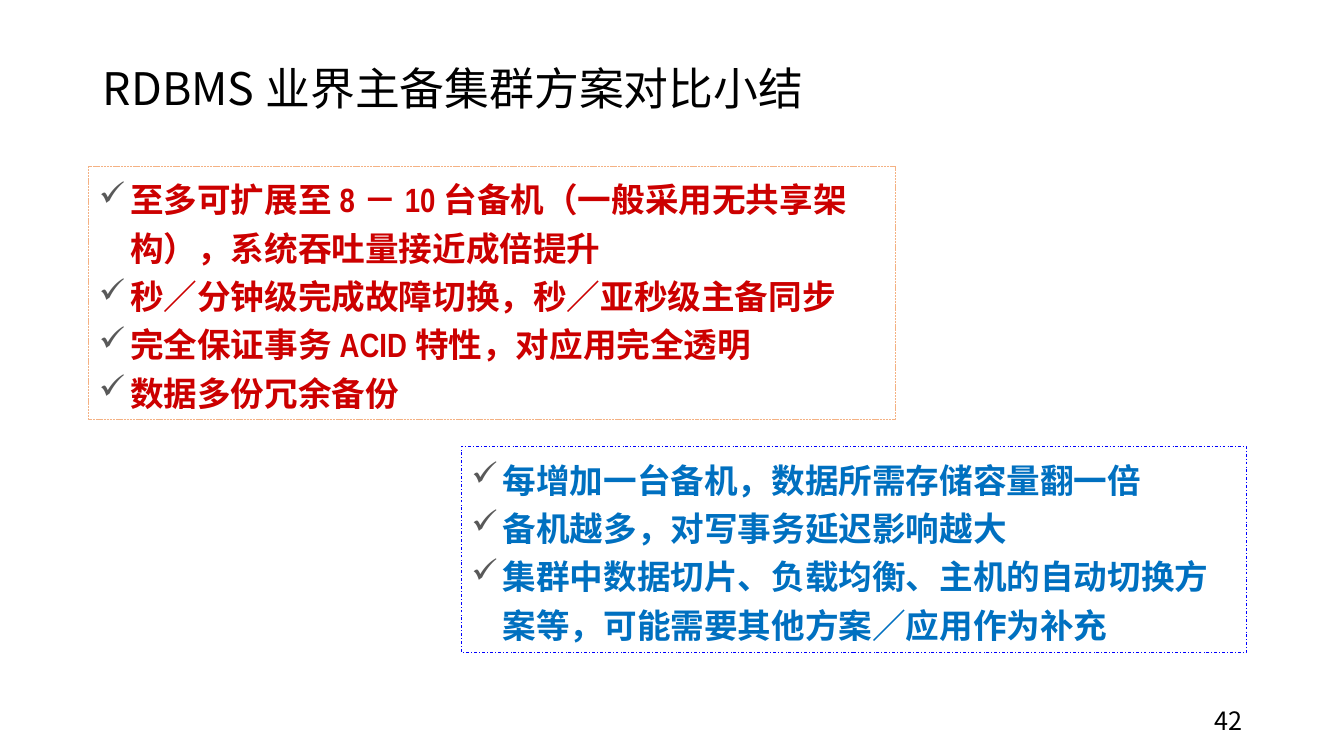
import pptx
import pptx.util
import pptx.dml.color
import pptx.enum.dml
import pptx.enum.shapes
import pptx.enum.text
import pptx.oxml.ns
from dataclasses import dataclass
from lxml import etree

Cm, Pt = pptx.util.Cm, pptx.util.Pt
RGB = pptx.dml.color.RGBColor.from_string
Dash = pptx.enum.dml.MSO_LINE
Align = pptx.enum.text.PP_ALIGN
Fit = pptx.enum.text.MSO_AUTO_SIZE
Mid = pptx.enum.text.MSO_ANCHOR.MIDDLE
Top = pptx.enum.text.MSO_ANCHOR.TOP
qn = pptx.oxml.ns.qn


@dataclass(frozen=True)
class Theme:
    black: str = "000000"
    tick: str = "595959"
    red: str = "CC0000"
    blue: str = "0070C0"
    peach: str = "F4B183"
    navy: str = "0000FF"
    sans: str = "Noto Sans CJK SC"
    narrow: str = "Arial Narrow"
    title: int = 32
    body: int = 24
    page: int = 18


THEME = Theme()

GAINS = [
    "至多可扩展至8－10台备机（一般采用无共享架构），系统吞吐量接近成倍提升",
    "秒／分钟级完成故障切换，秒／亚秒级主备同步",
    "完全保证事务ACID特性，对应用完全透明",
    "数据多份冗余备份",
]
COSTS = [
    "每增加一台备机，数据所需存储容量翻一倍",
    "备机越多，对写事务延迟影响越大",
    "集群中数据切片、负载均衡、主机的自动切换方案等，可能需要其他方案／应用作为补充",
]


def apply(item, form):
    for key, value in form.items():
        setattr(item, key, value)


def write(para, text, face, size, color, bold=False):
    """Put one run in a paragraph, with the same face for Latin and Chinese."""
    run = para.add_run()
    run.text = text
    apply(run.font, {"name": face, "size": Pt(size), "bold": bold})
    run.font.color.rgb = RGB(color)
    etree.SubElement(run.font._element, qn("a:ea"), typeface=face)


def label(slide, area, text, size, form):
    """Add a text box that holds one line."""
    box = slide.shapes.add_textbox(*map(Cm, area))
    apply(box.text_frame, {"word_wrap": True, "vertical_anchor": Mid})
    para = box.text_frame.paragraphs[0]
    apply(para, form)
    write(para, text, THEME.sans, size, THEME.black)


def check(para):
    """Give a paragraph a hanging check mark."""
    props = para._p.get_or_add_pPr()
    hang = Cm(0.79)
    props.set("marL", str(hang))
    props.set("indent", str(-hang))
    tint = etree.SubElement(props, qn("a:buClr"))
    etree.SubElement(tint, qn("a:srgbClr"), val=THEME.tick)
    etree.SubElement(props, qn("a:buChar"), char="✓")


def panel(slide, area, points, color, edge, dash):
    """Add a dashed frame with a checked list."""
    kind = pptx.enum.shapes.MSO_SHAPE.RECTANGLE
    box = slide.shapes.add_shape(kind, *map(Cm, area))
    box.shadow.inherit = False
    box.fill.background()
    box.line.color.rgb = RGB(edge)
    apply(box.line, {"width": Pt(0.5), "dash_style": dash})
    frame = box.text_frame
    apply(frame, {"word_wrap": True, "vertical_anchor": Top,
                  "auto_size": Fit.SHAPE_TO_FIT_TEXT})
    for n, point in enumerate(points):
        para = frame.add_paragraph() if n else frame.paragraphs[0]
        apply(para, {"level": 1, "alignment": Align.LEFT, "line_spacing": 1.2})
        check(para)
        write(para, point, THEME.narrow, THEME.body, color, True)


def main():
    deck = pptx.Presentation()
    apply(deck, {"slide_width": Cm(33.87), "slide_height": Cm(19.05)})
    slide = deck.slides.add_slide(deck.slide_layouts[6])

    # Title and page number
    label(slide, (2.34, 1.02, 29.21, 2.57), "RDBMS业界主备集群方案对比小结",
          THEME.title, {"line_spacing": 0.9})
    label(slide, (23.93, 17.65, 7.62, 1.02), "42",
          THEME.page, {"alignment": Align.RIGHT})

    # Strengths, then limits
    panel(slide, (2.24, 4.19, 20.32, 6.38), GAINS,
          THEME.red, THEME.peach, Dash.SQUARE_DOT)
    panel(slide, (11.63, 11.25, 19.79, 5.18), COSTS,
          THEME.blue, THEME.navy, Dash.DASH_DOT)

    deck.save("out.pptx")


if __name__ == "__main__":
    main()
